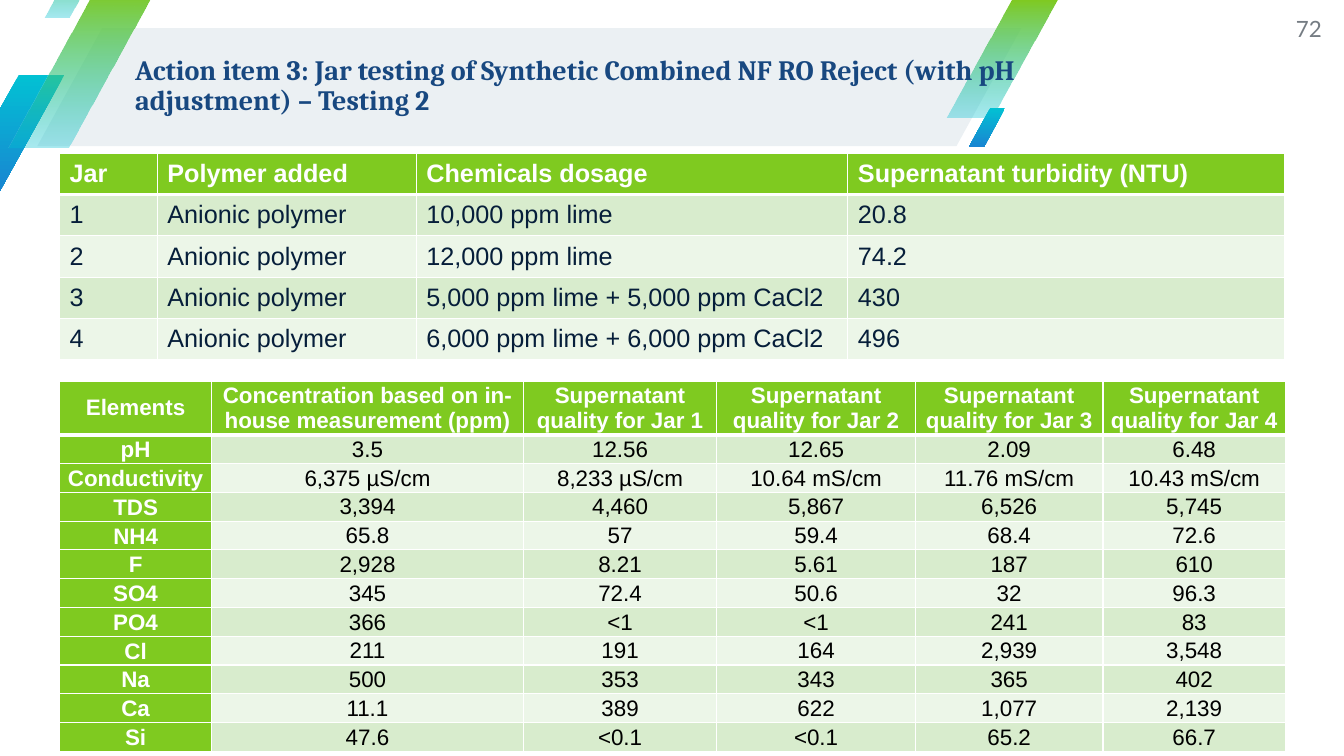
from lxml.etree import SubElement
from pptx import Presentation
from pptx.dml.color import RGBColor
from pptx.enum.shapes import MSO_SHAPE
from pptx.enum.text import MSO_ANCHOR, PP_ALIGN
from pptx.oxml.ns import qn
from pptx.util import Inches, Pt

# Content
TITLE = ("Action item 3: Jar testing of Synthetic Combined NF RO Reject "
         "(with pH adjustment) – Testing 2")
PAGE_NUMBER = "72"
POLYMER = "Anionic polymer"
JARS = [
    ("Jar", "Polymer added", "Chemicals dosage", "Supernatant turbidity (NTU)"),
    ("1", POLYMER, "10,000 ppm lime", "20.8"),
    ("2", POLYMER, "12,000 ppm lime", "74.2"),
    ("3", POLYMER, "5,000 ppm lime + 5,000 ppm CaCl2", "430"),
    ("4", POLYMER, "6,000 ppm lime + 6,000 ppm CaCl2", "496"),
]
ELEMENTS = [
    ("Elements", "Concentration based on in-house measurement (ppm)",
     *(f"Supernatant quality for Jar {jar}" for jar in range(1, 5))),
    ("pH", "3.5", "12.56", "12.65", "2.09", "6.48"),
    ("Conductivity", "6,375 µS/cm", "8,233 µS/cm", "10.64 mS/cm", "11.76 mS/cm", "10.43 mS/cm"),
    ("TDS", "3,394", "4,460", "5,867", "6,526", "5,745"),
    ("NH4", "65.8", "57", "59.4", "68.4", "72.6"),
    ("F", "2,928", "8.21", "5.61", "187", "610"),
    ("SO4", "345", "72.4", "50.6", "32", "96.3"),
    ("PO4", "366", "<1", "<1", "241", "83"),
    ("Cl", "211", "191", "164", "2,939", "3,548"),
    ("Na", "500", "353", "343", "365", "402"),
    ("Ca", "11.1", "389", "622", "1,077", "2,139"),
    ("Si", "47.6", "<0.1", "<0.1", "65.2", "66.7"),
]

# Look
GREEN, WHITE = "7FCA20", "FFFFFF"
BANDS = ("ECF6E8", "D8ECCD")
BLUE_FADE = ("02C1D3", "1985D2", 100)   # top, bottom, opacity of the bottom
GREEN_FADE = (GREEN, "02C1D3", 34)
BANNER = (0.37, 0.28, 9.76, 1.17)
STRIPES = [
    ((-0.46, 0.74, 1.1, 1.17), BLUE_FADE),
    ((9.39, 0, 1.1, 1.17), GREEN_FADE),
    ((0.08, -0.1, 1.46, 1.56), GREEN_FADE),
    ((0.44, -0.48, 0.61, 0.65), GREEN_FADE),
    ((9.61, 1.07, 0.36, 0.39), BLUE_FADE),
]
TABLE_LEFT = 0.59


def color(value):
    return RGBColor.from_string(value)


def write(frame, text, size, font, hue, bold=False, align=PP_ALIGN.LEFT,
          line_spacing=None, space_after=None):
    paragraph = frame.paragraphs[0]
    paragraph.alignment = align
    paragraph.line_spacing = line_spacing
    paragraph.space_after = space_after
    run = paragraph.add_run()
    run.text = text
    run.font.size = Pt(size)
    run.font.name = font
    run.font.bold = bold
    run.font.color.rgb = color(hue)


def set_frame(frame):
    frame.word_wrap = True
    frame.vertical_anchor = MSO_ANCHOR.MIDDLE
    frame.margin_left = frame.margin_top = frame.margin_right = frame.margin_bottom = 0


def add_parallelogram(slide, box, slant):
    shape = slide.shapes.add_shape(MSO_SHAPE.PARALLELOGRAM, *map(Inches, box))
    shape.adjustments[0] = slant
    shape.shadow.inherit = False
    shape.line.fill.background()
    return shape


def add_stripe(slide, box, fade):
    *hues, opacity = fade
    shape = add_parallelogram(slide, box, 0.59)
    shape.fill.gradient()
    shape.fill.gradient_angle = 270
    for stop, hue, position in zip(shape.fill.gradient_stops, hues, (0, 1)):
        stop.color.rgb = color(hue)
        stop.position = position
    if opacity < 100:
        bottom = shape.element.spPr.findall(".//" + qn("a:srgbClr"))[-1]
        SubElement(bottom, qn("a:alpha"), val=str(opacity * 1000))


def set_borders(cell, top, bottom):
    properties = cell._tc.get_or_add_tcPr()
    for side, width in (("L", 1), ("R", 1), ("T", top), ("B", bottom)):
        line = SubElement(properties, qn("a:ln" + side), w=str(Pt(width)))
        fill = SubElement(line, qn("a:solidFill"))
        SubElement(fill, qn("a:srgbClr"), val=WHITE)


def add_grid(slide, rows, top, widths, heights, format_cell, label_column=False):
    frame = slide.shapes.add_table(
        len(rows), len(widths), Inches(TABLE_LEFT), Inches(top),
        Inches(sum(widths)), Inches(sum(heights)))
    table = frame.table
    table.first_col = label_column
    for column, width in zip(table.columns, widths):
        column.width = Inches(width)
    for row, height in zip(table.rows, heights):
        row.height = Inches(height)
    for r, values in enumerate(rows):
        for c, value in enumerate(values):
            cell = table.cell(r, c)
            header = r == 0
            strong = header or (label_column and c == 0)
            set_borders(cell, 3 if r == 1 else 1, 3 if header else 1)
            cell.fill.solid()
            cell.fill.fore_color.rgb = color(GREEN if strong else BANDS[r % 2])
            cell.vertical_anchor = MSO_ANCHOR.MIDDLE
            format_cell(cell, value, header, strong)


def format_jar(cell, value, header, strong):
    write(cell.text_frame, value, 18, "Arial", WHITE if strong else "061E3A", bold=strong)


def format_element(cell, value, header, strong):
    cell.margin_left = cell.margin_right = Inches(0.03 if strong else 0.01)
    cell.margin_top = Inches(0 if strong else 0.01)
    cell.margin_bottom = 0
    row_label = strong and not header
    write(cell.text_frame, value, 16, "Arial", WHITE if strong else "000000",
          bold=strong, align=PP_ALIGN.CENTER,
          line_spacing=1.07 if row_label else None,
          space_after=Pt(8) if row_label else None)


def main():
    presentation = Presentation()
    presentation.slide_width = Inches(13.33)
    presentation.slide_height = Inches(7.5)
    slide = presentation.slides.add_slide(presentation.slide_layouts[5])

    # Banner and stripes
    banner = add_parallelogram(slide, BANNER, 0.55)
    banner.fill.solid()
    banner.fill.fore_color.rgb = color("EBF0F3")
    for box, fade in STRIPES:
        add_stripe(slide, box, fade)

    # Title, brought in front of the banner
    title = slide.shapes.title
    title.left, title.top, title.width, title.height = map(Inches, (1.34, 0.26, 8.79, 1.19))
    slide.shapes.element.append(title.element)
    set_frame(title.text_frame)
    write(title.text_frame, TITLE, 20, "Cambria", "184880", bold=True, line_spacing=0.9)

    # Page number
    number = slide.shapes.add_textbox(*map(Inches, (12.48, 0, 0.63, 0.57)))
    set_frame(number.text_frame)
    write(number.text_frame, PAGE_NUMBER, 16, "Lato", "757C83", align=PP_ALIGN.RIGHT)

    # Tables
    add_grid(slide, ELEMENTS, 3.78, (1.51, 3.09, 1.92, 1.97, 1.86, 1.81),
             [0.5] + [0.26] * (len(ELEMENTS) - 1), format_element, label_column=True)
    add_grid(slide, JARS, 1.52, (0.97, 2.57, 4.28, 4.33),
             [0.41] * len(JARS), format_jar)

    presentation.save("out.pptx")


if __name__ == "__main__":
    main()
